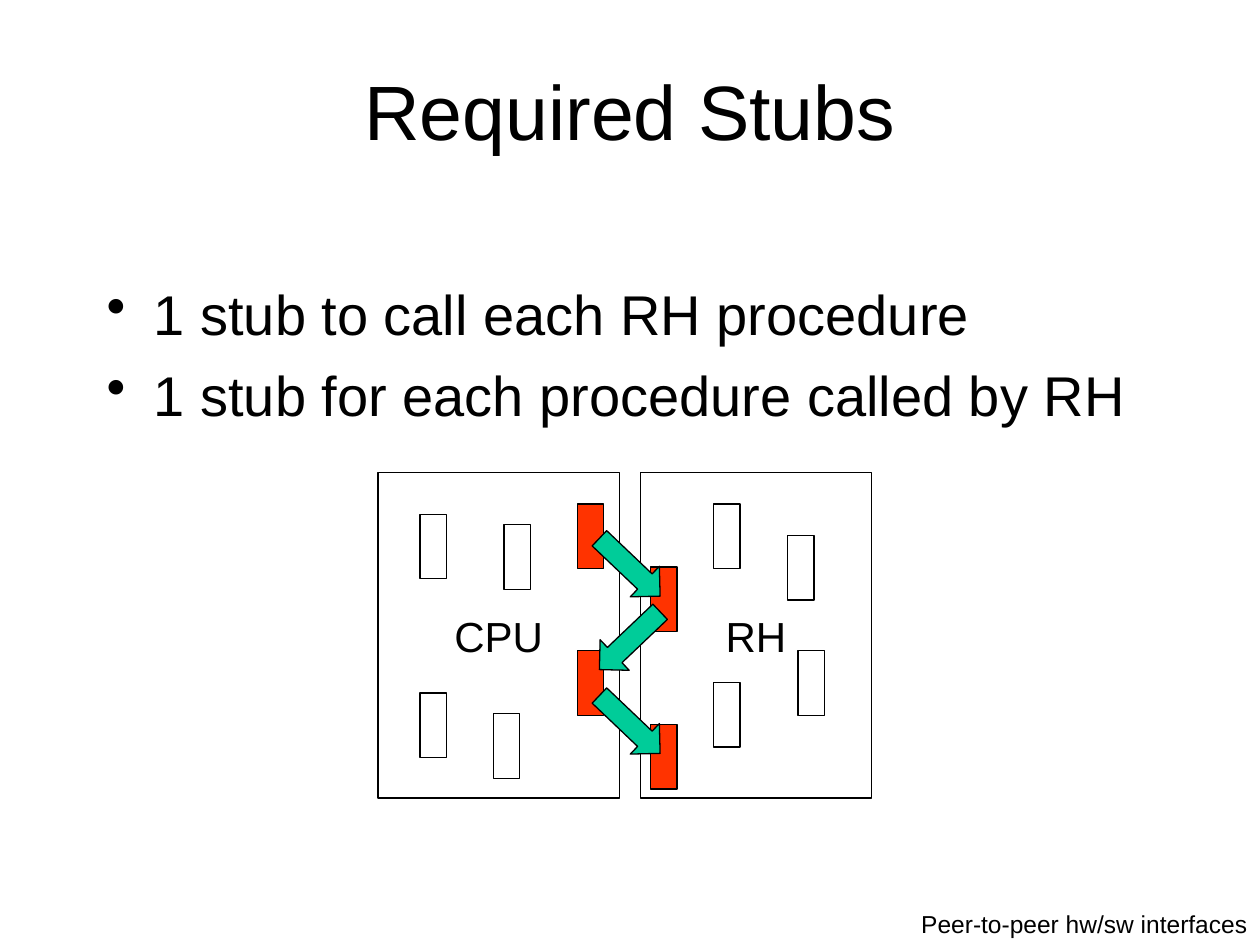
import pptx
import pptx.util
import pptx.dml.color
import pptx.enum.shapes
import pptx.enum.text
import lxml.etree

Cm, Pt = pptx.util.Cm, pptx.util.Pt
Kind = pptx.enum.shapes.MSO_SHAPE
Side = pptx.enum.text.PP_ALIGN
Mid = pptx.enum.text.MSO_ANCHOR.MIDDLE
hues = {"ink": "000000", "stub": "FF3300", "arrow": "00CC99"}


def tint(name):
    return pptx.dml.color.RGBColor.from_string(hues[name])


def write(para, text, size, side):
    para.text = text
    para.alignment = side
    style = {"name": "Arial", "size": Pt(size)}
    for key, val in style.items():
        setattr(para.font, key, val)
    para.font.color.rgb = tint("ink")


deck = pptx.Presentation()
deck.slide_width, deck.slide_height = Cm(25.4), Cm(19.05)
slide = deck.slides.add_slide(deck.slide_layouts[6])
shapes = slide.shapes

# Title, bullets and footer
texts = [
    ((1.9, 1.47, 21.6, 1.47), ["Required Stubs"], 44, Side.CENTER),
    ((1.9, 5.51, 21.6, 11.43),
     ["1 stub to call each RH procedure",
      "1 stub for each procedure called by RH"], 32, Side.LEFT),
    ((15.88, 18.2, 9.52, 0.85), ["Peer-to-peer hw/sw interfaces"],
     14, Side.RIGHT),
]
for spot, lines, size, side in texts:
    frame = shapes.add_textbox(*map(Cm, spot)).text_frame
    frame.word_wrap = True
    if side == Side.CENTER:
        frame.vertical_anchor = Mid
    for i, line in enumerate(lines):
        para = frame.add_paragraph() if i else frame.paragraphs[0]
        if side == Side.LEFT:
            props = para._p.get_or_add_pPr()
            props.set("marL", str(Cm(0.95)))
            props.set("indent", str(-Cm(0.95)))
            mark = lxml.etree.SubElement(
                props, pptx.oxml.ns.qn("a:buChar"))
            mark.set("char", "•")
            if i:
                para.space_before = Pt(8)
        write(para, line, size, side)

# Parts of the diagram: kind, place, fill, turn, label
box, tip = Kind.RECTANGLE, Kind.RIGHT_ARROW
parts = [
    (box, (7.62, 9.53, 4.87, 6.56), None, 0, "CPU"),
    (box, (12.91, 9.53, 4.66, 6.56), None, 0, "RH"),
]
# Stubs on both sides of the gap
for x, y in [(11.64, 10.16), (13.12, 11.43), (11.64, 13.12), (13.12, 14.61)]:
    parts.append((box, (x, y, 0.53, 1.3), "stub", 0, ""))
# Calls between the stubs
for y, turn in [(11.01, 43.6), (14.18, 43.6), (12.49, 136.4)]:
    parts.append((tip, (11.85, y, 1.69, 0.85), "arrow", turn, ""))
# Plain procedures
for x, y in [(8.47, 13.97), (8.47, 10.37), (9.95, 14.39), (14.39, 13.76),
             (14.39, 10.16), (15.88, 10.8), (16.09, 13.12), (10.16, 10.58)]:
    parts.append((box, (x, y, 0.53, 1.3), None, 0, ""))

for kind, spot, fill, turn, label in parts:
    part = shapes.add_shape(kind, *map(Cm, spot))
    part.shadow.inherit = False
    part.rotation = turn
    part.line.color.rgb = tint("ink")
    part.line.width = Pt(0.75)
    if fill:
        part.fill.solid()
        part.fill.fore_color.rgb = tint(fill)
    else:
        part.fill.background()
    if label:
        frame = part.text_frame
        frame.word_wrap = False
        frame.vertical_anchor = Mid
        write(frame.paragraphs[0], label, 24, Side.CENTER)

deck.save("out.pptx")
